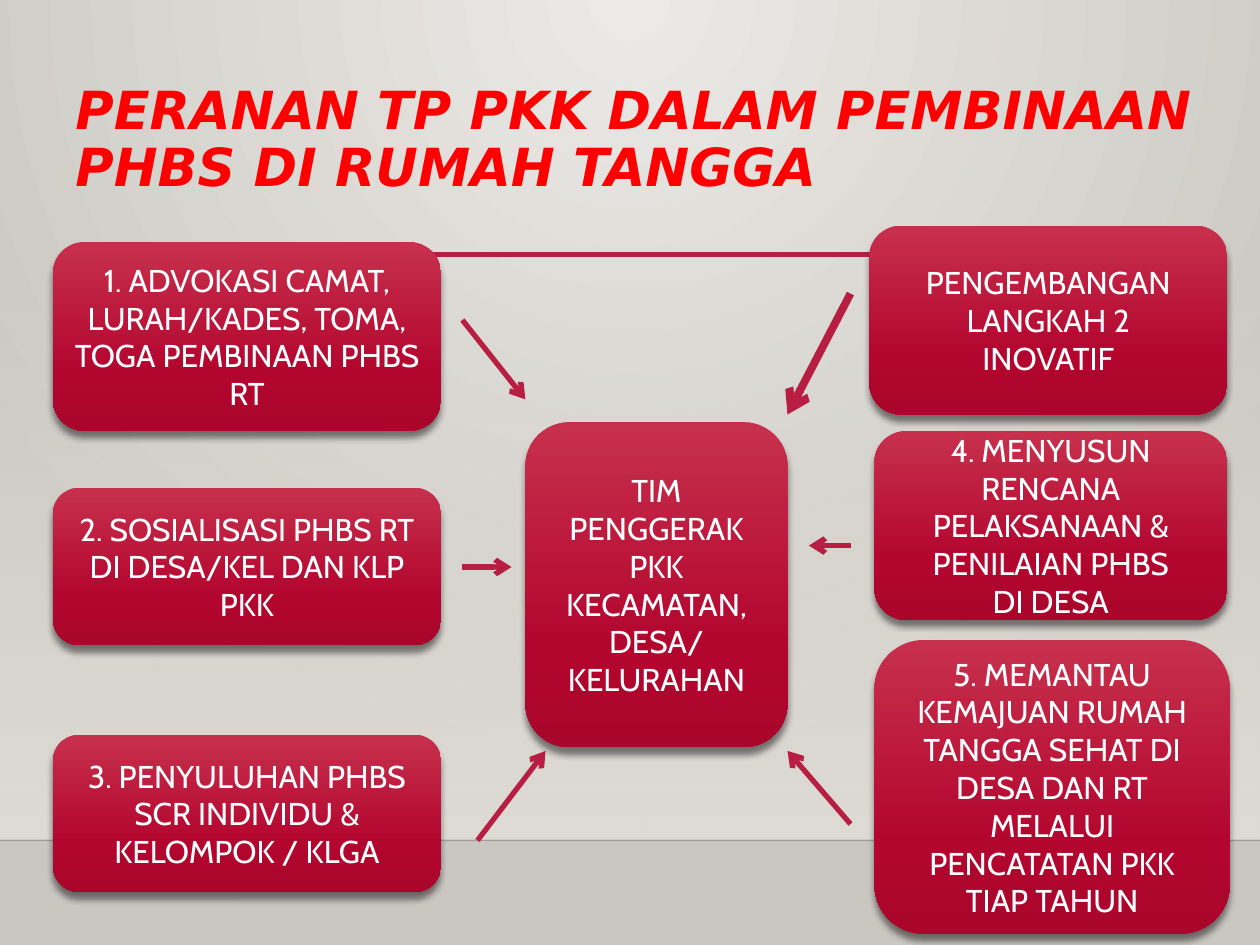
"""Build the slide on the role of TP PKK in fostering PHBS at home."""
from lxml.etree import SubElement
from pptx import Presentation
from pptx.dml.color import RGBColor
from pptx.enum.shapes import MSO_CONNECTOR as CONNECTOR, MSO_SHAPE as SHAPE
from pptx.enum.text import MSO_ANCHOR as ANCHOR, PP_ALIGN as ALIGN
from pptx.oxml import parse_xml
from pptx.oxml.ns import nsdecls, qn
from pptx.util import Inches, Pt

CRIMSON = "B71E42"
LINEAR = '<a:lin ang="5400000" scaled="0"/>'
RADIAL = '<a:path path="circle"><a:fillToRect l="43000" r="43000" b="100000"/></a:path>'


def paint_gradient(owner, fill, stops, direction=LINEAR):
    fill.gradient()
    gradient = next(owner.element.iter(qn("a:gradFill")))
    stop_xml = "".join(
        f'<a:gs pos="{position * 1000}"><a:srgbClr val="{color}">'
        f'<a:alpha val="{alpha * 1000}"/></a:srgbClr></a:gs>'
        for position, color, alpha in stops)
    gradient.getparent().replace(gradient, parse_xml(
        f'<a:gradFill {nsdecls("a")} rotWithShape="1">'
        f'<a:gsLst>{stop_xml}</a:gsLst>{direction}</a:gradFill>'))


def add_line(slide, start, end, color, width):
    line = slide.shapes.add_connector(
        CONNECTOR.STRAIGHT, *[Inches(value) for value in (*start, *end)])
    line.line.color.rgb = RGBColor.from_string(color)
    line.line.width = Pt(width)
    SubElement(line.element.spPr, qn("a:effectLst"))
    return line


presentation = Presentation()
presentation.slide_width = Inches(10)
presentation.slide_height = Inches(7.5)
slide = presentation.slides.add_slide(presentation.slide_layouts[6])
paint_gradient(slide, slide.background.fill,
               [(0, "ECEAE7", 100), (100, "CAC7C1", 100)], RADIAL)

wall = slide.shapes.add_shape(SHAPE.RECTANGLE, 0, Inches(2.2), Inches(10), Inches(4.46))
wall.shadow.inherit = False
wall.line.fill.background()
paint_gradient(wall, wall.fill, [(0, "DFDBD5", 0), (100, "DFDBD5", 100)])

floor_line = add_line(slide, (0, 6.67), (10, 6.67), "000001", 1)
SubElement(next(floor_line.element.iter(qn("a:srgbClr"))), qn("a:alpha"), val="20000")
add_line(slide, (1.58, 2.02), (8.77, 2.02), CRIMSON, 2.5)

title = slide.shapes.add_textbox(Inches(0.5), Inches(0.58), Inches(9.5), Inches(1.08))
title.text_frame.word_wrap = True
title.text_frame.vertical_anchor = ANCHOR.MIDDLE
paragraph = title.text_frame.paragraphs[0]
paragraph.line_spacing = 0.9
run = paragraph.add_run()
run.text = "PERANAN TP PKK DALAM PEMBINAAN PHBS DI RUMAH TANGGA"
run.font.name = "DejaVu Sans"
run.font.size = Pt(30)
run.font.bold = True
run.font.italic = True
run.font.color.rgb = RGBColor.from_string("FF0000")

cards = [
    (0.42, 1.92, 3.08, 1.5, ["1. ADVOKASI CAMAT, LURAH/KADES, TOMA, TOGA PEMBINAAN PHBS RT"]),
    (0.42, 3.87, 3.08, 1.25, ["2. SOSIALISASI PHBS RT DI DESA/KEL DAN KLP PKK"]),
    (0.42, 5.83, 3.08, 1.25, ["3. PENYULUHAN PHBS SCR INDIVIDU & KELOMPOK / KLGA"]),
    (4.17, 3.35, 2.08, 2.58, ["TIM PENGGERAK PKK KECAMATAN, DESA/ KELURAHAN"]),
    (6.9, 1.79, 2.84, 1.5, ["PENGEMBANGAN LANGKAH 2", "INOVATIF"]),
    (6.94, 3.42, 2.8, 1.5,
     ["4. MENYUSUN", "RENCANA", "PELAKSANAAN & PENILAIAN PHBS", "DI DESA"]),
    (6.94, 5.08, 2.82, 2.33,
     ["5. MEMANTAU KEMAJUAN RUMAH TANGGA SEHAT DI DESA DAN RT MELALUI "
      "PENCATATAN PKK TIAP TAHUN"]),
]
for *box, texts in cards:
    card = slide.shapes.add_shape(
        SHAPE.ROUNDED_RECTANGLE, *[Inches(value) for value in box])
    card.line.fill.background()
    paint_gradient(card, card.fill,
                   [(0, "C7304C", 100), (69, "B3062F", 100), (100, "AA062C", 100)])
    card.shadow.inherit = False
    effects = next(card.element.iter(qn("a:effectLst")))
    effects.append(parse_xml(
        f'<a:outerShdw {nsdecls("a")} blurRad="{Pt(4)}" dist="{Pt(4)}" dir="5400000" '
        'rotWithShape="0"><a:srgbClr val="000000"><a:alpha val="48000"/>'
        '</a:srgbClr></a:outerShdw>'))
    frame = card.text_frame
    frame.word_wrap = True
    frame.vertical_anchor = ANCHOR.MIDDLE
    for index, text in enumerate(texts):
        paragraph = frame.add_paragraph() if index else frame.paragraphs[0]
        paragraph.alignment = ALIGN.CENTER
        run = paragraph.add_run()
        run.text = text
        run.font.name = "Cabin"
        run.font.size = Pt(18)
        run.font.color.rgb = RGBColor.from_string("FFFFFF")

arrows = [
    ((6.75, 2.33), (6.25, 3.29), 4.5),
    ((6.75, 4.33), (6.42, 4.33), 3),
    ((6.75, 6.54), (6.25, 5.96), 3),
    ((3.67, 4.5), (4.06, 4.5), 3),
    ((3.67, 2.54), (4.17, 3.17), 3),
    ((3.79, 6.67), (4.33, 5.96), 3),
]
for start, end, width in arrows:
    arrow = add_line(slide, start, end, CRIMSON, width)
    SubElement(next(arrow.element.iter(qn("a:ln"))), qn("a:tailEnd"), type="arrow")

presentation.save("out.pptx")
